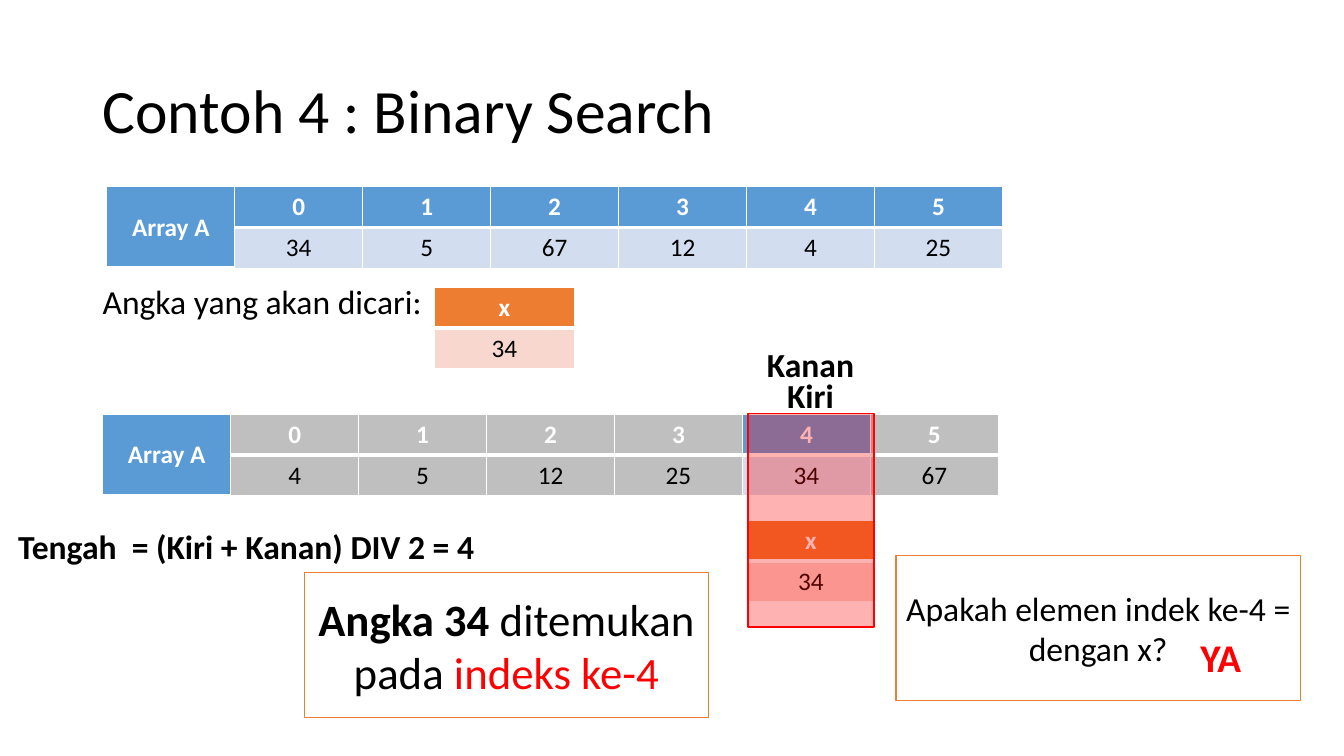
"""Build the binary search slide in which the value 34 is found at index 4."""
import dataclasses

import pptx
import pptx.dml.color
import pptx.enum.shapes
import pptx.enum.text
import pptx.oxml.ns
import pptx.util
from lxml import etree

Pt = pptx.util.Pt
RGB = pptx.dml.color.RGBColor.from_string
PP_ALIGN = pptx.enum.text.PP_ALIGN
MSO_ANCHOR = pptx.enum.text.MSO_ANCHOR
RECTANGLE = pptx.enum.shapes.MSO_SHAPE.RECTANGLE
qn = pptx.oxml.ns.qn


@dataclasses.dataclass(frozen=True)
class Theme:
    font: str = "Calibri"
    black: str = "000000"
    white: str = "FFFFFF"
    red: str = "FF0000"
    blue: str = "5B9BD5"
    pale_blue: str = "D2DEEF"
    orange: str = "ED7D31"
    pale_orange: str = "F8D7CE"
    grey: str = "BFBFBF"
    title: int = 44
    result: int = 32
    answer: int = 28
    body: int = 24
    cell: int = 18


theme = Theme()


def write(tf, text, size=theme.body, color=theme.black, bold=False,
          align=PP_ALIGN.LEFT, anchor=MSO_ANCHOR.TOP, wrap=True):
    """Append a formatted run to the first paragraph of a text frame."""
    tf.word_wrap = wrap
    tf.vertical_anchor = anchor
    p = tf.paragraphs[0]
    p.alignment = align
    r = p.add_run()
    r.text = text
    r.font.name = theme.font
    r.font.size = Pt(size)
    r.font.bold = bold
    r.font.color.rgb = RGB(color)
    return p


def add_grid(s, left, top, col_width, rows, fills, anchor):
    """Add a two-row table with a bold header and white rules."""
    row_height = 29.2
    count = len(rows[0])
    tbl = s.shapes.add_table(2, count, Pt(left), Pt(top), Pt(col_width * count),
                             Pt(row_height * 2)).table
    tbl.horz_banding = False
    for col in tbl.columns:
        col.width = Pt(col_width)
    for i, row in enumerate(rows):
        tbl.rows[i].height = Pt(row_height)
        for j, text in enumerate(row):
            cell = tbl.cell(i, j)
            tcPr = cell._tc.get_or_add_tcPr()
            thick_side = "lnT" if i else "lnB"
            for side in ("lnL", "lnR", "lnT", "lnB"):
                width = 3 if side == thick_side else 1
                ln = etree.SubElement(tcPr, qn("a:" + side), w=str(Pt(width)))
                fill = etree.SubElement(ln, qn("a:solidFill"))
                etree.SubElement(fill, qn("a:srgbClr"), val=theme.white)
            cell.fill.solid()
            cell.fill.fore_color.rgb = RGB(fills[i][j])
            cell.vertical_anchor = anchor
            if text:
                write(cell.text_frame, text, size=theme.cell, bold=i == 0,
                      color=theme.black if i else theme.white,
                      align=PP_ALIGN.CENTER, anchor=anchor)
    if count > 1:
        tbl.cell(0, 0).merge(tbl.cell(1, 0))


prs = pptx.Presentation()
prs.slide_width, prs.slide_height = Pt(960), Pt(540)
s = prs.slides.add_slide(prs.slide_layouts[6])

tf = s.shapes.add_textbox(Pt(66.2), Pt(28.8), Pt(828), Pt(104.4)).text_frame
p = write(tf, "Contoh 4 : Binary Search", size=theme.title, anchor=MSO_ANCHOR.MIDDLE)
p.line_spacing = 0.9

header = ["Array A", "0", "1", "2", "3", "4", "5"]
found = header.index("4")
plain_fills = [[theme.blue] * 7, [theme.blue] + [theme.pale_blue] * 6]
search_fills = [[theme.blue] + [theme.grey] * 6 for _ in range(2)]
search_fills[0][found] = theme.blue
search_fills[1][found] = theme.pale_blue

for left, top, values, fills in (
    (76.3, 133.2, ["", "34", "5", "67", "12", "4", "25"], plain_fills),
    (73.4, 295.9, ["", "4", "5", "12", "25", "34", "67"], search_fills),
):
    add_grid(s, left, top, 91.4, [header, values], fills, MSO_ANCHOR.MIDDLE)

for left, top, width in ((310.3, 205.2, 100.1), (533.5, 371.5, 91.4)):
    add_grid(s, left, top, width, [["x"], ["34"]],
             [[theme.orange], [theme.pale_orange]], MSO_ANCHOR.TOP)

for left, top, runs in (
    (640.1, 396.7, [("Apakah elemen indek ke-4 = dengan x?", {})]),
    (217.4, 409, [("Angka 34 ", {"size": theme.result, "bold": True}),
                  ("ditemukan pada ", {"size": theme.result}),
                  ("indeks ke-4", {"size": theme.result, "color": theme.red})]),
):
    sp = s.shapes.add_shape(RECTANGLE, Pt(left), Pt(top), Pt(288.7), Pt(103.7))
    sp.shadow.inherit = False
    sp.fill.solid()
    sp.fill.fore_color.rgb = RGB(theme.white)
    sp.line.color.rgb = RGB(theme.orange)
    sp.line.width = Pt(1)
    for text, style in runs:
        write(sp.text_frame, text, align=PP_ALIGN.CENTER,
              anchor=MSO_ANCHOR.MIDDLE, **style)

sp = s.shapes.add_shape(RECTANGLE, Pt(534.2), Pt(295.2), Pt(90), Pt(152.6))
sp.shadow.inherit = False
sp.fill.solid()
sp.fill.fore_color.rgb = RGB(theme.red)
tint = sp._element.spPr.find(qn("a:solidFill")).find(qn("a:srgbClr"))
etree.SubElement(tint, qn("a:alpha"), val="30000")
sp.line.color.rgb = RGB(theme.red)
sp.line.width = Pt(1)

for left, top, width, height, text, style in (
    (66.2, 197.3, 244.1, 36, "Angka yang akan dicari:", {}),
    (850.3, 448.6, 43.9, 41, "YA",
     {"size": theme.answer, "color": theme.red, "bold": True}),
    (555.1, 264.2, 48.2, 36, "Kiri", {"bold": True}),
    (540.7, 241.9, 77.8, 36, "Kanan", {"bold": True}),
    (5.8, 372.2, 343.4, 36, "Tengah  = (Kiri + Kanan) DIV 2 = 4", {"bold": True}),
):
    tf = s.shapes.add_textbox(Pt(left), Pt(top), Pt(width), Pt(height)).text_frame
    tf.auto_size = pptx.enum.text.MSO_AUTO_SIZE.SHAPE_TO_FIT_TEXT
    write(tf, text, wrap=False, **style)

prs.save("out.pptx")
